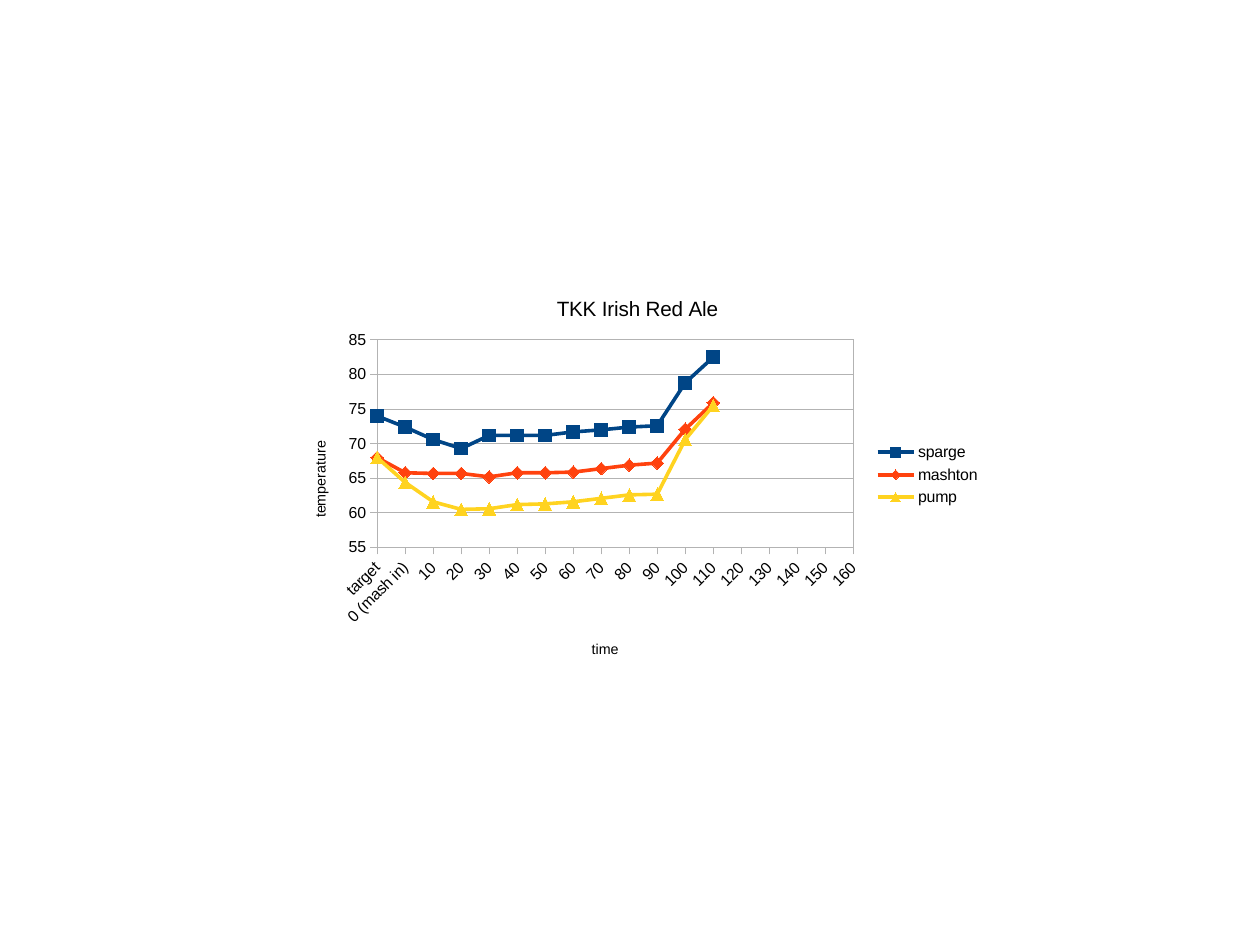
from pptx import Presentation
from pptx import util as u
from pptx.chart.data import CategoryChartData
from pptx.dml.color import RGBColor
from pptx.enum import chart as ce
from pptx.oxml import parse_xml
from pptx.oxml.ns import nsdecls

THEME = {
    "font": "Arial", "ink": "000000", "grid": "B3B3B3",
    "title": 13, "axis": 9, "label": 10, "line": 2.27, "mark": 8,
}
TIMES = ["target", "0 (mash in)"] + [str(t) for t in range(10, 170, 10)]
SERIES = [
    ("sparge", "004586", ce.XL_MARKER_STYLE.SQUARE,
     [74, 72.4, 70.6, 69.3, 71.2, 71.2, 71.2, 71.7, 72, 72.4, 72.6, 78.8, 82.5]),
    ("mashton", "FF420E", ce.XL_MARKER_STYLE.DIAMOND,
     [68, 65.8, 65.7, 65.7, 65.2, 65.8, 65.8, 65.9, 66.4, 66.9, 67.2, 72.1, 75.9]),
    ("pump", "FFD320", ce.XL_MARKER_STYLE.TRIANGLE,
     [68, 64.4, 61.6, 60.5, 60.6, 61.2, 61.3, 61.6, 62.1, 62.6, 62.7, 70.6, 75.5]),
]


def assign(obj, **vals):
    for key, val in vals.items():
        setattr(obj, key, val)


def place(node, index, **spots):
    """Set a manual layout, in shares of the chart, as child number index."""
    for old in node.xpath("./c:layout"):
        node.remove(old)
    modes = "".join(f'<c:{k}Mode val="edge"/>' for k in "xy")
    parts = "".join(f'<c:{k} val="{v}"/>' for k, v in spots.items())
    node.insert(index, parse_xml(
        f'<c:layout {nsdecls("c")}><c:manualLayout>{modes}{parts}'
        '</c:manualLayout></c:layout>'))


class Deck:
    def __init__(self, theme, wide, high):
        self.theme = theme
        self.prs = Presentation()
        assign(self.prs, slide_width=u.Cm(wide), slide_height=u.Cm(high))
        self.slide = self.prs.slides.add_slide(self.prs.slide_layouts[6])

    def font(self, font, size):
        assign(font, name=self.theme["font"], size=u.Pt(self.theme[size]),
               bold=False)
        font.color.rgb = RGBColor.from_string(self.theme["ink"])

    def stroke(self, line, color, width=0):
        line.color.rgb = RGBColor.from_string(color)
        line.width = u.Pt(width)

    def title(self, title, words, size, x, y, turn=0):
        run = title.text_frame.paragraphs[0].add_run()
        run.text = words
        self.font(run.font, size)
        body = title.element.xpath(".//a:bodyPr")[0]
        body.set("rot", str(turn * 60000))
        body.set("vert", "horz")
        place(title.element, 1, x=x, y=y)

    def axis(self, axis, words, x, y, turn=0):
        self.title(axis.axis_title, words, "axis", x, y, turn)
        self.font(axis.tick_labels.font, "label")
        self.stroke(axis.format.line, self.theme["grid"])
        assign(axis, major_tick_mark=ce.XL_TICK_MARK.OUTSIDE,
               minor_tick_mark=ce.XL_TICK_MARK.NONE)

    def series(self, item, color, mark):
        item.smooth = False
        self.stroke(item.format.line, color, self.theme["line"])
        assign(item.marker, style=mark, size=self.theme["mark"])
        fill = item.marker.format.fill
        fill.solid()
        fill.fore_color.rgb = RGBColor.from_string(color)
        self.stroke(item.marker.format.line, color)

    def chart(self, x, y, wide, high):
        data = CategoryChartData()
        data.categories = TIMES
        for name, _, _, vals in SERIES:
            data.add_series(name, vals + [None] * (len(TIMES) - len(vals)))
        chart = self.slide.shapes.add_chart(
            ce.XL_CHART_TYPE.LINE_MARKERS, u.Cm(x), u.Cm(y),
            u.Cm(wide), u.Cm(high), data).chart
        self.font(chart.font, "label")
        self.title(chart.chart_title, "TKK Irish Red Ale", "title", 0.39, 0.05)

        plot = chart.plots[0]
        plot.vary_by_categories = False
        for item, (_, color, mark, _) in zip(plot.series, SERIES):
            self.series(item, color, mark)

        self.axis(chart.category_axis, "time", 0.44, 0.9)
        self.axis(chart.value_axis, "temperature", 0.05, 0.41, -90)
        assign(chart.value_axis, minimum_scale=55, maximum_scale=85,
               major_unit=5, has_major_gridlines=True)
        self.stroke(chart.value_axis.major_gridlines.format.line,
                    self.theme["grid"])

        chart.has_legend = True
        assign(chart.legend, position=ce.XL_LEGEND_POSITION.RIGHT,
               include_in_layout=False)
        self.font(chart.legend.font, "label")
        self.frame(chart.element)

    def frame(self, root):
        """Tilt the time labels, start lines on the axis, outline the plot."""
        root.xpath(".//c:catAx/c:txPr/a:bodyPr")[0].set("rot", "-2700000")
        for old in root.xpath(".//c:valAx/c:crossBetween"):
            old.getparent().remove(old)
        root.xpath(".//c:valAx/c:crosses")[0].addnext(parse_xml(
            f'<c:crossBetween {nsdecls("c")} val="midCat"/>'))
        area = root.xpath(".//c:plotArea")[0]
        place(area, 0, x=0.098, y=0.145, w=0.718, h=0.729)
        area.append(parse_xml(
            f'<c:spPr {nsdecls("c", "a")}><a:noFill/><a:ln w="0"><a:solidFill>'
            f'<a:srgbClr val="{self.theme["grid"]}"/></a:solidFill></a:ln></c:spPr>'))


def main():
    deck = Deck(THEME, 28, 21)
    deck.chart(6.05, 6.05, 16, 9)
    deck.prs.save("out.pptx")


if __name__ == "__main__":
    main()
